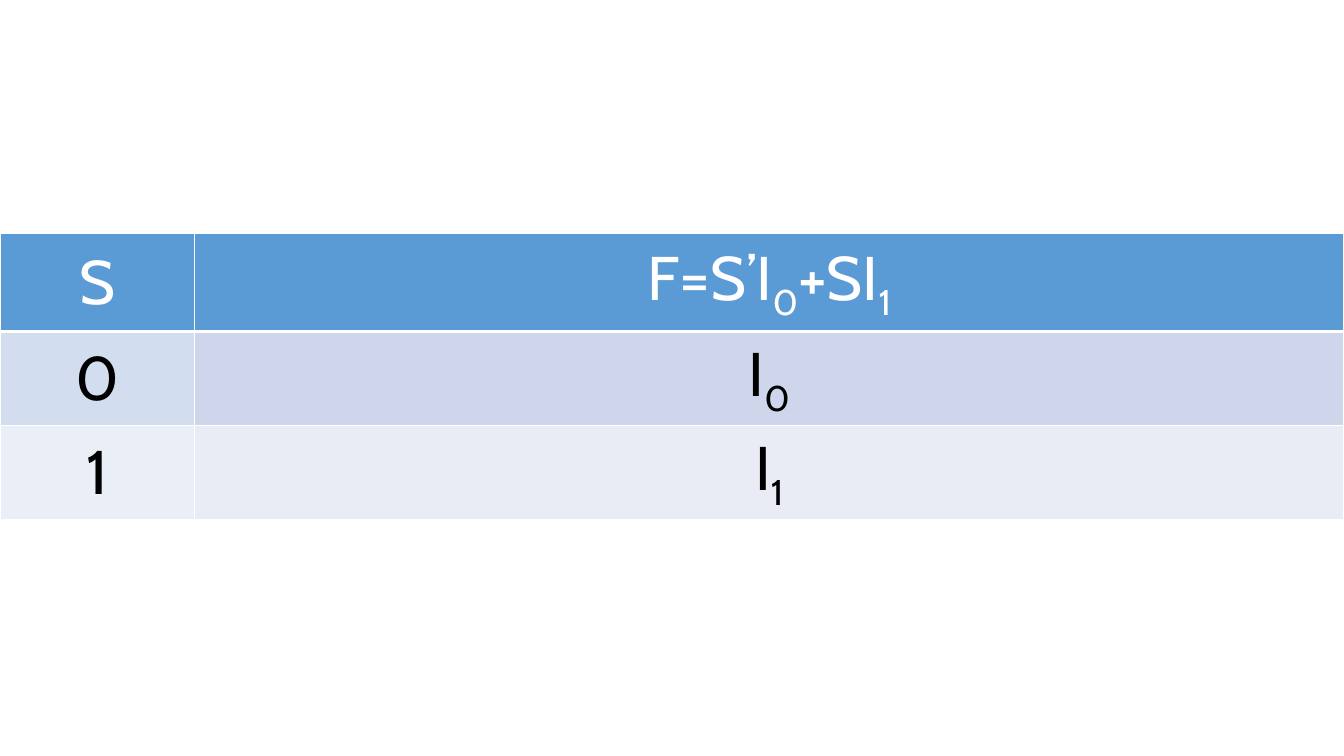
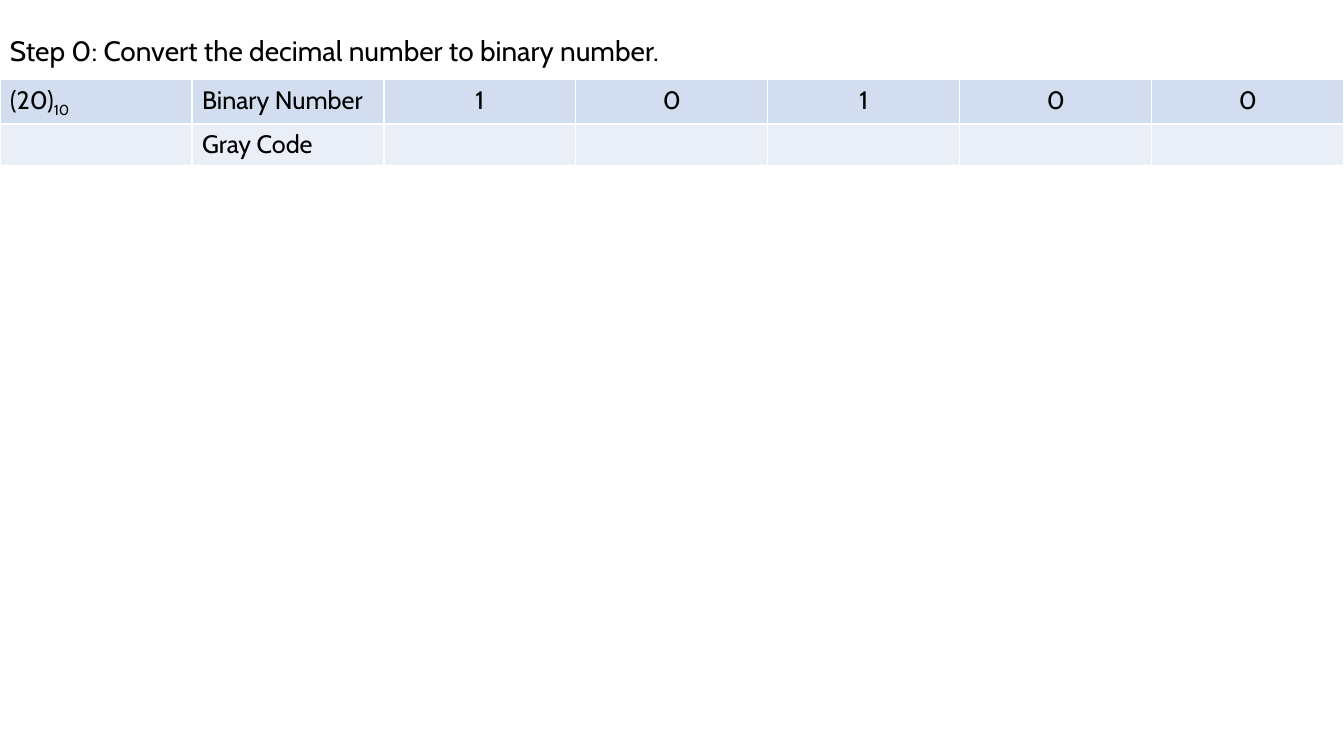
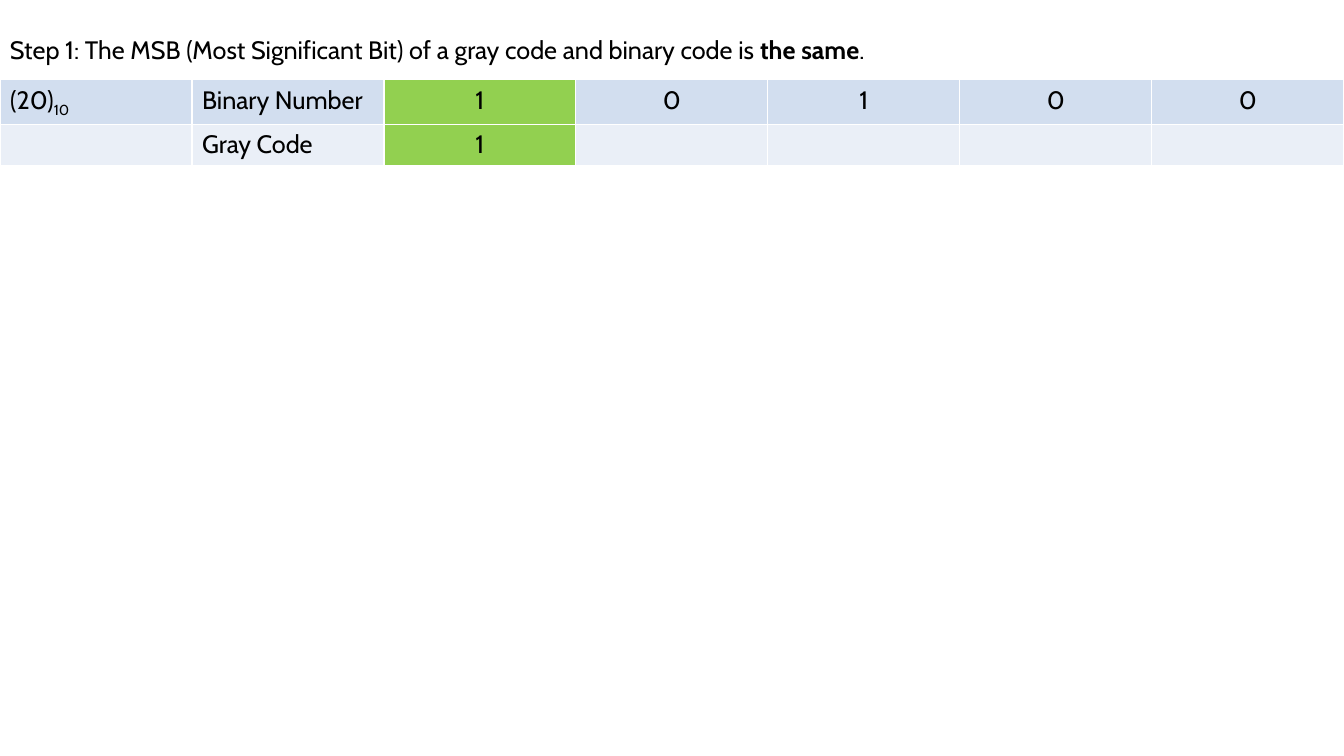
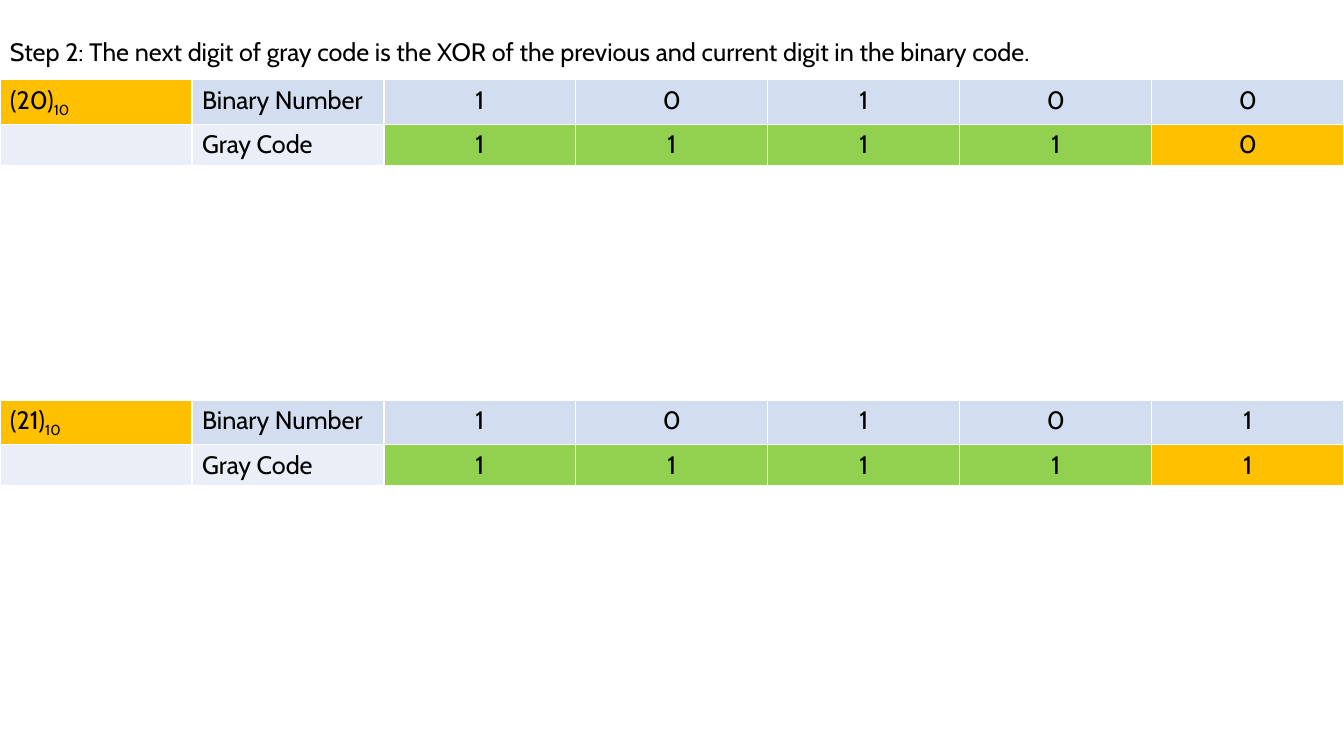
from lxml import etree
from pptx import Presentation, util as u
from pptx.dml.color import RGBColor
from pptx.enum import text as t
from pptx.oxml.ns import qn

WHITE = RGBColor(0xFF, 0xFF, 0xFF)
BLACK = RGBColor(0, 0, 0)
BLUE = RGBColor(0x5B, 0x9B, 0xD5)
BLUE_BAND = RGBColor(0xD2, 0xDE, 0xEF)
BLUE_PALE = RGBColor(0xEA, 0xEF, 0xF7)
LILAC_BAND = RGBColor(0xCF, 0xD5, 0xEA)
LILAC_PALE = RGBColor(0xE9, 0xEB, 0xF5)
GREEN = RGBColor(0x92, 0xD0, 0x50)
ORANGE = RGBColor(0xFF, 0xC0, 0x00)

FONT = "Cabin"
WIDTH, HEIGHT = 13.33, 7.5
CENTER = t.PP_ALIGN.CENTER
MIDDLE = t.MSO_ANCHOR.MIDDLE
SUB, BOLD = "sub", "bold"

# Text is a list of (words, style) spans.
SELECTOR = {
    "top": 2.32, "columns": [1.93, WIDTH - 1.93], "rows": [0.97, 0.75, 0.75],
    "cells": [
        [[("S", None)], [("F=S’I", None), ("0", SUB), ("+SI", None), ("1", SUB)]],
        [[("0", None)], [("I", None), ("0", SUB)]],
        [[("1", None)], [("I", None), ("1", SUB)]],
    ],
    "fills": [[BLUE, BLUE], [BLUE_BAND, LILAC_BAND], [BLUE_PALE, LILAC_PALE]],
}

# Each table: top, decimal number, gray digits shown, marks of both rows
# (G green, O orange, dot for the plain band).
STEPS = [
    {"text": [("Step 0: Convert the decimal number to binary number.", None)],
     "box": (0.28, 12.29, 0.44), "size": 20,
     "tables": [(0.79, 20, 0, (".......", "......."))]},
    {"text": [("Step 1: The MSB (Most Significant Bit) of a gray code and binary code is ", None),
              ("the same", BOLD), (".", None)],
     "box": (0.29, WIDTH, 0.4), "size": 18,
     "tables": [(0.79, 20, 1, ("..G....", "..G...."))]},
    {"text": [("Step 2: The next digit of gray code is the XOR of the previous and "
               "current digit in the binary code.", None)],
     "box": (0.31, 12.69, 0.4), "size": 18,
     "tables": [(0.79, 20, 5, ("O......", "..GGGGO")),
                (3.97, 21, 5, ("O......", "..GGGGO"))]},
]
BITS = 5
CODE_COLUMNS = BITS + 2
CODE_ROW = 0.41
MARKS = {"G": GREEN, "O": ORANGE}


def write(para, spans, size, color, align=None):
    para.alignment = align
    for words, style in spans:
        span = para.add_run()
        span.text = words
        look = {"name": FONT, "size": u.Pt(size), "bold": style == BOLD}
        for name, value in look.items():
            setattr(span.font, name, value)
        span.font.color.rgb = color
        if style == SUB:
            span.font._element.set("baseline", "-25000")


def add_borders(cell, widths):
    """Draw white borders; widths maps L, R, T, B to points."""
    props = cell._tc.get_or_add_tcPr()
    for side, points in widths.items():
        line = etree.SubElement(props, qn(f"a:ln{side}"), w=str(u.Pt(points)))
        fill = etree.SubElement(line, qn("a:solidFill"))
        etree.SubElement(fill, qn("a:srgbClr"), val=str(WHITE))


def add_grid(page, top, columns, rows, fills, header=False):
    """Add a full-width table with filled, bordered cells."""
    frame = page.shapes.add_table(len(rows), len(columns), 0, u.Inches(top),
                                  u.Inches(WIDTH), u.Inches(sum(rows)))
    table = frame.table
    table.first_row = header
    for column, width in zip(table.columns, columns):
        column.width = u.Inches(width)
    for r, height in enumerate(rows):
        table.rows[r].height = u.Inches(height)
        for c, color in enumerate(fills[r]):
            cell = table.cell(r, c)
            add_borders(cell, {"L": 1, "R": 1,
                               "T": 3 if header and r == 1 else 1,
                               "B": 3 if header and r == 0 else 1})
            cell.fill.solid()
            cell.fill.fore_color.rgb = color
    return table


def add_selector_table(page):
    data = SELECTOR
    table = add_grid(page, data["top"], data["columns"], data["rows"],
                     data["fills"], header=True)
    for r, row in enumerate(data["cells"]):
        for c, spans in enumerate(row):
            cell = table.cell(r, c)
            cell.vertical_anchor = MIDDLE
            write(cell.text_frame.paragraphs[0], spans, 44,
                  BLACK if r else WHITE, CENTER)


def add_code_table(page, top, number, shown, marks):
    fills = [[MARKS.get(mark, band) for mark in row]
             for row, band in zip(marks, (BLUE_BAND, BLUE_PALE))]
    table = add_grid(page, top, [WIDTH / CODE_COLUMNS] * CODE_COLUMNS,
                     [CODE_ROW] * 2, fills)
    binary = f"{number:0{BITS}b}"
    gray = f"{number ^ number >> 1:0{BITS}b}"[:shown]
    rows = [[[(f"({number})", None), ("10", SUB)], [("Binary Number", None)]],
            [[], [("Gray Code", None)]]]
    for r, (labels, digits) in enumerate(zip(rows, (binary, gray))):
        for c, spans in enumerate(labels + [[(digit, None)] for digit in digits]):
            write(table.cell(r, c).text_frame.paragraphs[0], spans, 18, BLACK,
                  CENTER if c > 1 else None)


def add_step(page, step):
    for table in step["tables"]:
        add_code_table(page, *table)
    top, width, height = step["box"]
    box = page.shapes.add_textbox(0, *map(u.Inches, (top, width, height)))
    box.text_frame.word_wrap = True
    box.text_frame.auto_size = t.MSO_AUTO_SIZE.SHAPE_TO_FIT_TEXT
    write(box.text_frame.paragraphs[0], step["text"], step["size"], BLACK)


def main():
    deck = Presentation()
    deck.slide_width, deck.slide_height = u.Inches(WIDTH), u.Inches(HEIGHT)
    blank = deck.slide_layouts[6]
    add_selector_table(deck.slides.add_slide(blank))
    for step in STEPS:
        add_step(deck.slides.add_slide(blank), step)
    deck.save("out.pptx")


if __name__ == "__main__":
    main()
